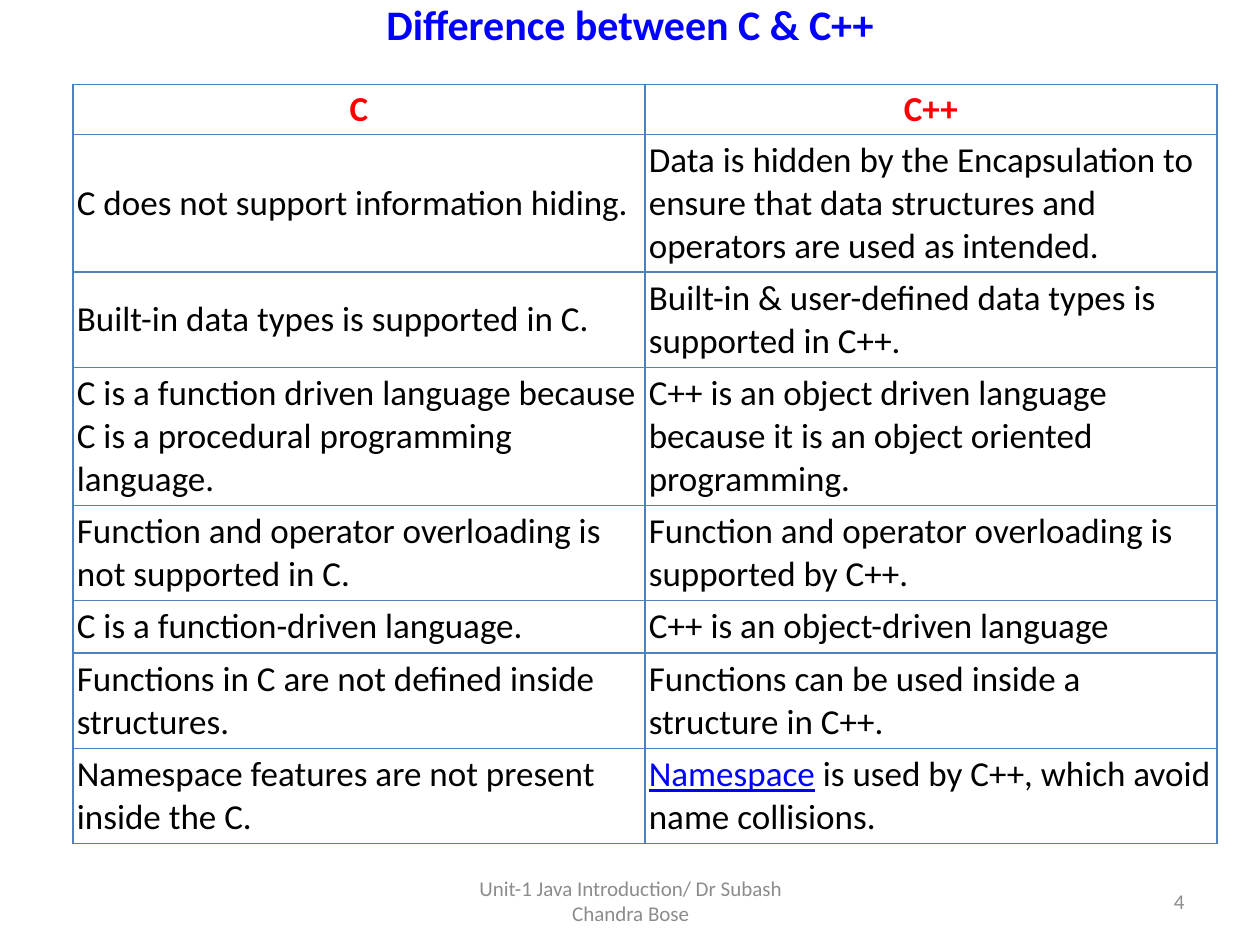
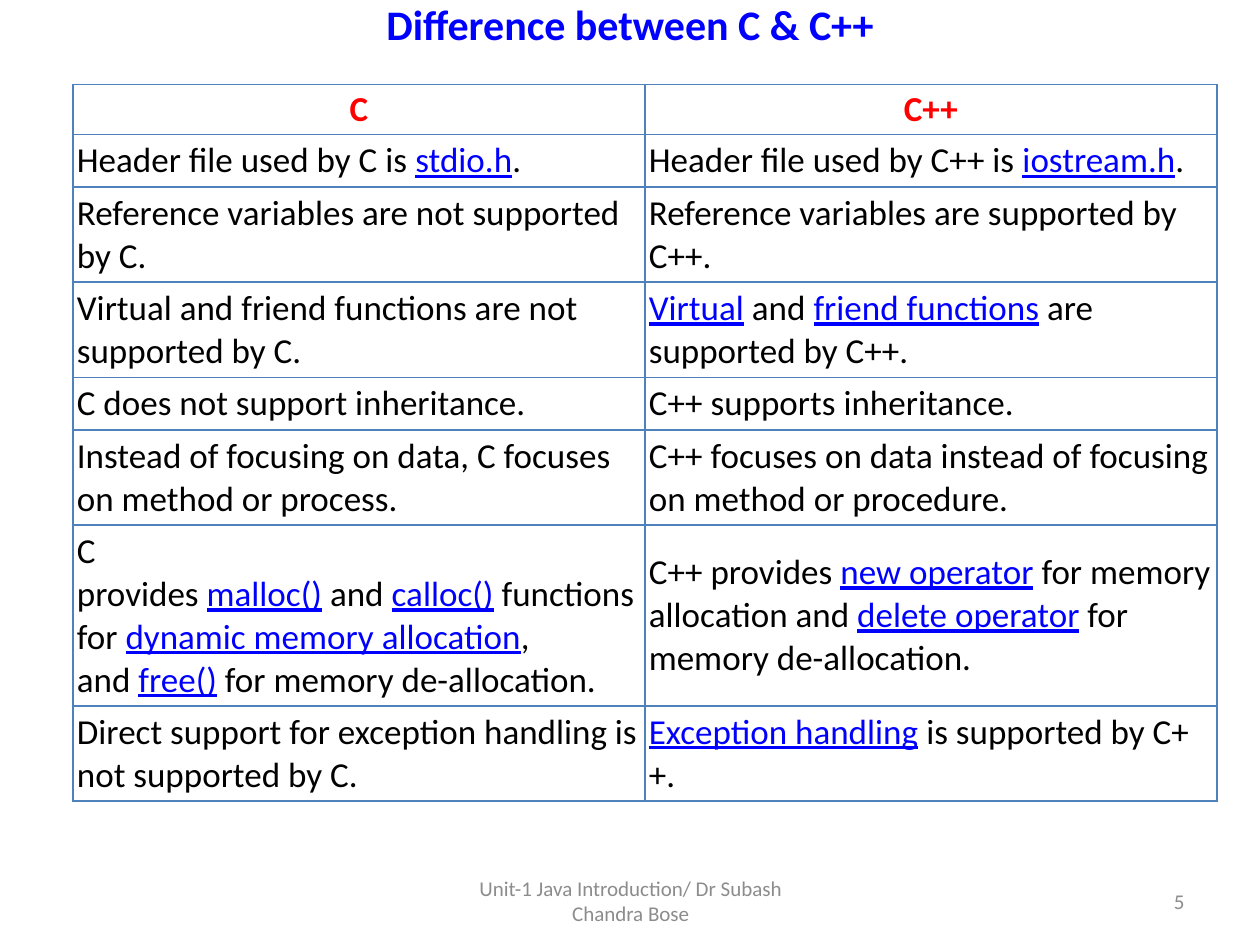
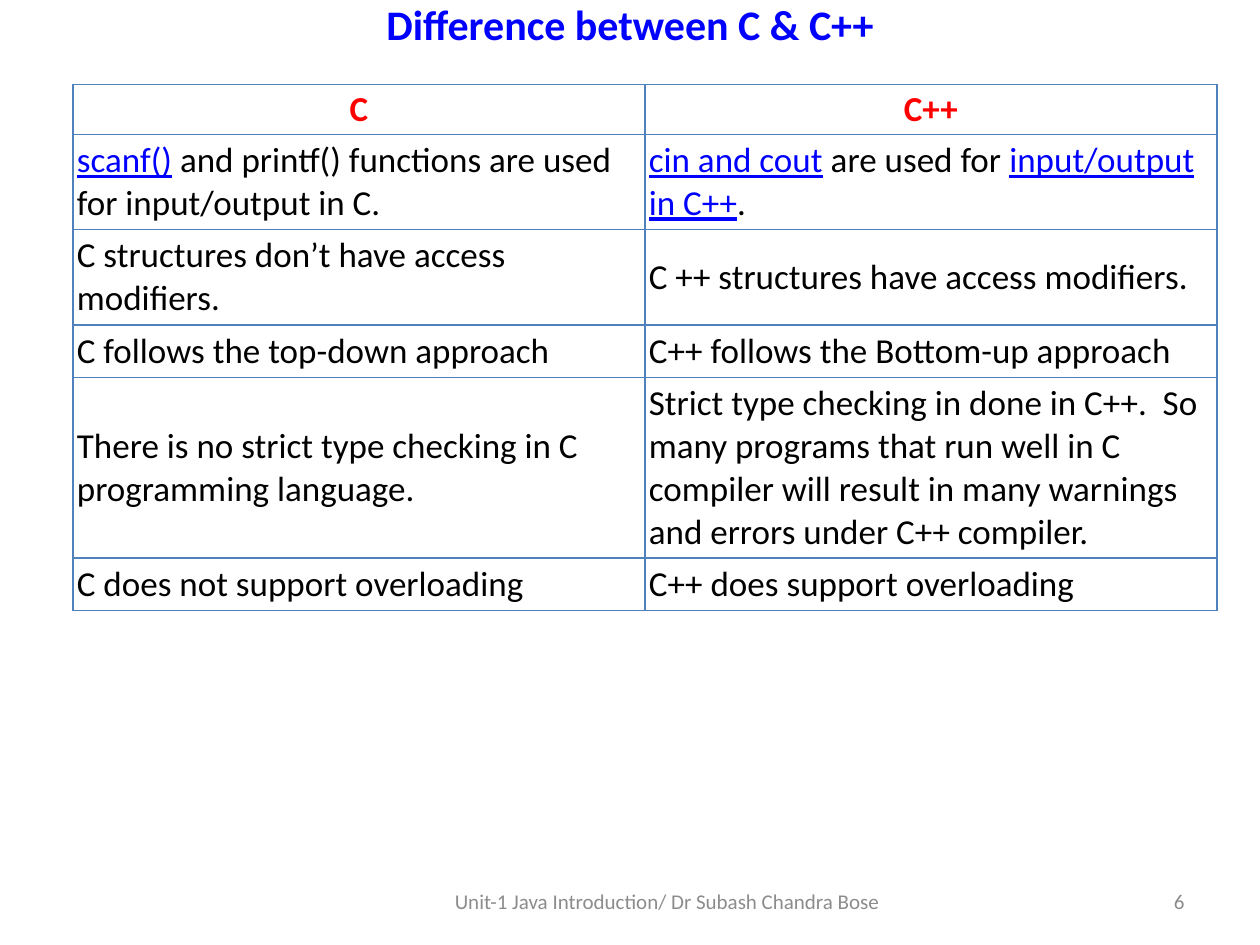
from dataclasses import dataclass

from lxml import etree
from pptx import Presentation
from pptx import util as u
from pptx.dml.color import RGBColor
from pptx.enum import text as t
from pptx.oxml import ns

Cm, Pt = u.Cm, u.Pt

# Shared look
COLOURS = {"title": "0000FF", "head": "FF0000", "body": "000000",
           "link": "0000FF", "footer": "8C8C8C", "border": "4F81BD"}
FORMATS = {
    "title": {"size": Pt(24), "bold": True},
    "head": {"size": Pt(20), "bold": True},
    "body": {"size": Pt(20), "bold": False},
    "link": {"size": Pt(20), "bold": False, "underline": True},
    "footer": {"size": Pt(12), "bold": False},
}
FONT = "Calibri"
TITLE = "Difference between C & C++"
FOOTER = "Unit-1 Java Introduction/ Dr Subash Chandra Bose"
HEADINGS = ("C", "C++")
HARD_SPACE = chr(160)

# Table measures in cm
COLUMN_WIDTH = 11.53
HEAD_HEIGHT = 0.99
LINE_HEIGHT = 0.86
INSET_SIDE, INSET_HEAD, INSET_BODY = 0.08, 0.08, 0.1


@dataclass(frozen=True)
class Frame:
    """Left, top, width and height in cm."""
    left: float
    top: float
    width: float
    height: float

    def lengths(self) -> tuple:
        return tuple(Cm(n) for n in (self.left, self.top, self.width, self.height))


@dataclass(frozen=True)
class Contrast:
    """One table row: [ ] marks a link, ~ a hard space."""
    lines: int
    c: str
    cpp: str


@dataclass(frozen=True)
class Page:
    number: int
    footer_width: float
    rows: tuple


TITLE_FRAME = Frame(1.27, -0.2, 22.86, 1.35)
NUMBER_FRAME = Frame(18.21, 17.65, 5.92, 1.02)

PAGES = (
    Page(4, 8.05, (
        Contrast(3, "C does not support information hiding.",
                 "Data is hidden by the Encapsulation to ensure that data structures "
                 "and operators are used as intended."),
        Contrast(2, "Built-in data types is supported in C.",
                 "Built-in & user-defined data types is supported in C++."),
        Contrast(3, "C is a function driven language because C is a procedural "
                 "programming language.",
                 "C++ is an object driven language because it is an object oriented "
                 "programming."),
        Contrast(2, "Function and operator overloading is not supported in C.",
                 "Function and operator overloading is supported by C++."),
        Contrast(1, "C is a function-driven language.",
                 "C++ is an object-driven language"),
        Contrast(2, "Functions in C are not defined inside structures.",
                 "Functions can be used inside a structure in C++."),
        Contrast(2, "Namespace features are not present inside the C.",
                 "[Namespace]~is used by C++, which avoid name collisions."),
    )),
    Page(5, 8.05, (
        Contrast(1, "Header file used by C is~[stdio.h].",
                 "Header file used by C++ is~[iostream.h]."),
        Contrast(2, "Reference variables are not supported by C.",
                 "Reference variables are supported by C++."),
        Contrast(2, "Virtual and friend functions are not supported by C.",
                 "[Virtual]~and~[friend functions]~are supported by C++."),
        Contrast(1, "C does not support inheritance.", "C++ supports inheritance."),
        Contrast(2, "Instead of focusing on data, C focuses on method or process.",
                 "C++ focuses on data instead of focusing on method or procedure."),
        Contrast(4, "C provides~[malloc()]~and~[calloc()]~functions for~"
                 "[dynamic memory allocation], and~[free()]~for memory de-allocation.",
                 "C++ provides~[new operator]~for memory allocation and~"
                 "[delete operator]~for memory de-allocation."),
        Contrast(2, "Direct support for exception handling is not supported by C.",
                 "[Exception handling]~is supported by C++."),
    )),
    Page(6, 9.52, (
        Contrast(2, "[scanf()]~and printf() functions are used for input/output in C.",
                 "[cin and cout]~are used for~[input/output in C++]."),
        Contrast(2, "C structures don’t have access modifiers.",
                 "C ++ structures have access modifiers."),
        Contrast(1, "C follows the top-down approach",
                 "C++ follows the Bottom-up approach"),
        Contrast(4, "There is no strict type checking in C programming language.",
                 "Strict type checking in done in C++. ~So many programs that run well "
                 "in C compiler will result in many warnings and errors under C++ "
                 "compiler."),
        Contrast(1, "C does not support overloading", "C++ does support overloading"),
    )),
)


def write(para, words: str, style: str, align) -> None:
    """Fill a paragraph; every second part of the marked text is a link."""
    para.alignment = align
    parts = words.replace("~", HARD_SPACE).replace("]", "[").split("[")
    for index, part in enumerate(parts):
        if not part:
            continue
        look = "link" if index % 2 else style
        span = para.add_run()
        span.text = part
        span.font.name = FONT
        span.font.color.rgb = RGBColor.from_string(COLOURS[look])
        for key, value in FORMATS[look].items():
            setattr(span.font, key, value)


def add_title(slide) -> None:
    box = slide.shapes.title
    box.left, box.top, box.width, box.height = TITLE_FRAME.lengths()
    box.text_frame.vertical_anchor = t.MSO_ANCHOR.MIDDLE
    write(box.text_frame.paragraphs[0], TITLE, "title", t.PP_ALIGN.CENTER)


def add_footer(slide, frame: Frame, words: str, align) -> None:
    box = slide.shapes.add_textbox(*frame.lengths())
    box.text_frame.word_wrap = True
    box.text_frame.vertical_anchor = t.MSO_ANCHOR.MIDDLE
    write(box.text_frame.paragraphs[0], words, "footer", align)


def add_borders(cell) -> None:
    properties = cell._tc.get_or_add_tcPr()
    for side in ("lnL", "lnR", "lnT", "lnB"):
        line = etree.SubElement(properties, ns.qn(f"a:{side}"), w=str(Pt(1)))
        fill = etree.SubElement(line, ns.qn("a:solidFill"))
        etree.SubElement(fill, ns.qn("a:srgbClr"), val=COLOURS["border"])


def fill_cell(cell, words: str, style: str, inset: float, align) -> None:
    add_borders(cell)
    cell.fill.background()
    cell.vertical_anchor = t.MSO_ANCHOR.MIDDLE
    cell.margin_left = cell.margin_right = Cm(INSET_SIDE)
    cell.margin_top = cell.margin_bottom = Cm(inset)
    write(cell.text_frame.paragraphs[0], words, style, align)


def add_contrasts(slide, rows: tuple) -> None:
    heights = [HEAD_HEIGHT] + [row.lines * LINE_HEIGHT + 2 * INSET_BODY for row in rows]
    frame = Frame(1.47, 1.7, 2 * COLUMN_WIDTH, sum(heights))
    table = slide.shapes.add_table(len(heights), 2, *frame.lengths()).table
    table.first_row = table.horz_banding = False
    for row, height in zip(table.rows, heights):
        row.height = Cm(height)
    for column, heading in enumerate(HEADINGS):
        fill_cell(table.cell(0, column), heading, "head", INSET_HEAD, t.PP_ALIGN.CENTER)
    for index, row in enumerate(rows, start=1):
        for column, words in enumerate((row.c, row.cpp)):
            fill_cell(table.cell(index, column), words, "body", INSET_BODY,
                      t.PP_ALIGN.LEFT)


def main() -> None:
    deck = Presentation()
    deck.slide_width, deck.slide_height = Cm(25.4), Cm(19.05)
    for page in PAGES:
        slide = deck.slides.add_slide(deck.slide_layouts[5])
        add_title(slide)
        add_footer(slide, NUMBER_FRAME, str(page.number), t.PP_ALIGN.RIGHT)
        add_footer(slide, Frame(8.69, 17.65, page.footer_width, 1.02), FOOTER,
                   t.PP_ALIGN.CENTER)
        add_contrasts(slide, page.rows)
    deck.save("out.pptx")


if __name__ == "__main__":
    main()
